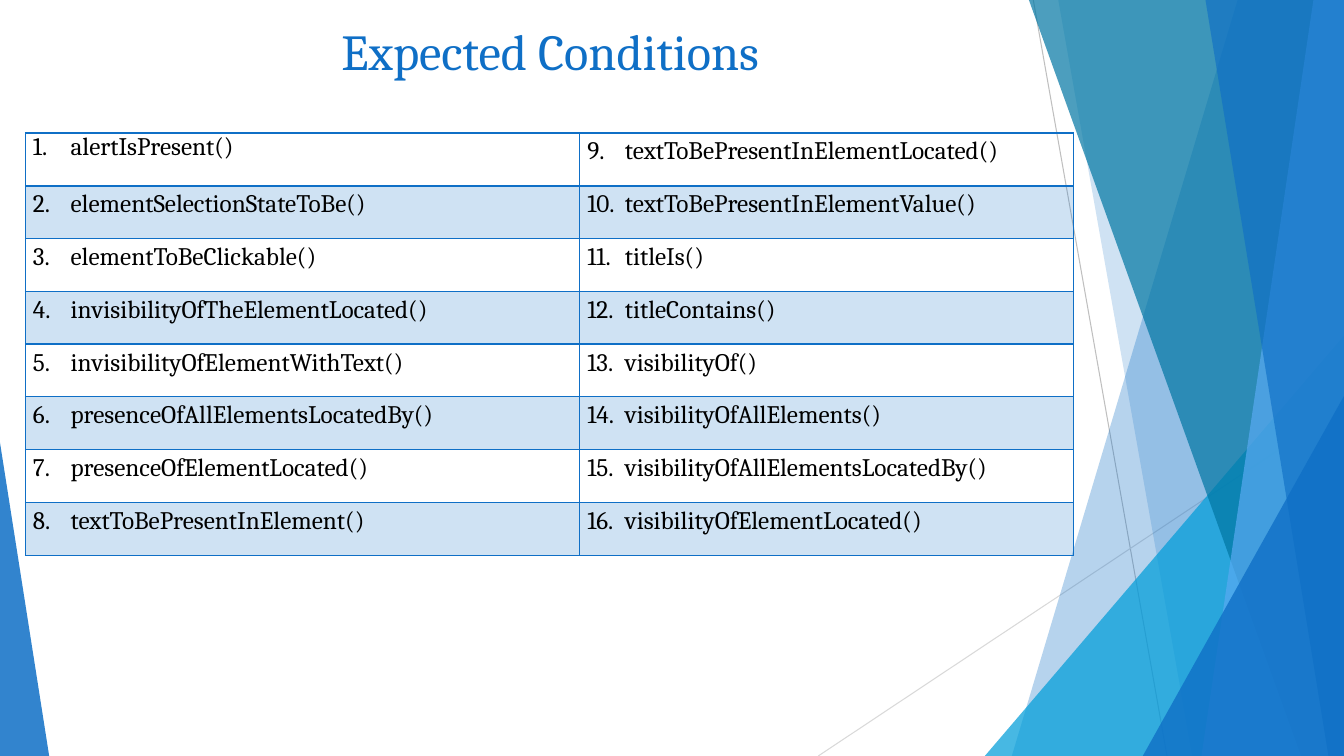
from lxml.etree import SubElement
from pptx import Presentation
from pptx.dml.color import RGBColor
from pptx.enum.shapes import MSO_CONNECTOR, MSO_SHAPE
from pptx.enum.text import MSO_ANCHOR, PP_ALIGN
from pptx.oxml import parse_xml
from pptx.oxml.ns import nsdecls, qn
from pptx.util import Cm, Pt

COLORS = {
    "blue": "0F6FC6", "cyan": "009DD9", "teal": "0076A3", "sky": "59AAF2",
    "ray": "BFBFBF", "pale_ray": "D9D9D9", "text": "000000",
}
FONT = "Cambria"
WIDTH, HEIGHT = 33.87, 19.05

# Top-left x and bottom-left x of each panel reaching the right edge
BACK_PANELS = [(31.19, 25.5, "blue", 30), (26.67, 30.05, "blue", 20)]
FRONT_PANELS = [(25.93, 32.79, "teal", 70), (33.1, 30.28, "sky", 70),
                (30.38, 33.48, "blue", 65)]

CONDITIONS = [
    "alertIsPresent()", "elementSelectionStateToBe()",
    "elementToBeClickable()", "invisibilityOfTheElementLocated()",
    "invisibilityOfElementWithText()", "presenceOfAllElementsLocatedBy()",
    "presenceOfElementLocated()", "textToBePresentInElement()",
    "textToBePresentInElementLocated()", "textToBePresentInElementValue()",
    "titleIs()", "titleContains()", "visibilityOf()",
    "visibilityOfAllElements()", "visibilityOfAllElementsLocatedBy()",
    "visibilityOfElementLocated()",
]
ROWS = 8


def rgb(color):
    return RGBColor.from_string(COLORS[color])


def fill_translucent(fill, color, opacity):
    fill.solid()
    fill.fore_color.rgb = rgb(color)
    # The colour element is reached through the fill's own XML
    srgb = fill._xPr.find(qn("a:solidFill")).find(qn("a:srgbClr"))
    SubElement(srgb, qn("a:alpha"), val=str(opacity * 1000))


def finish(shape, color, opacity):
    shape.shadow.inherit = False
    shape.line.fill.background()
    fill_translucent(shape.fill, color, opacity)


def add_ray(slide, x1, y1, x2, y2, color):
    ray = slide.shapes.add_connector(
        MSO_CONNECTOR.STRAIGHT, Cm(x1), Cm(y1), Cm(x2), Cm(y2))
    ray.line.color.rgb = rgb(color)
    ray.line.width = Pt(0.75)
    SubElement(ray._element.spPr, qn("a:effectLst"))


def add_panel(slide, top_x, bottom_x, color, opacity):
    outline = slide.shapes.build_freeform(Cm(top_x), Cm(0))
    outline.add_line_segments([
        (Cm(WIDTH), Cm(0)), (Cm(WIDTH), Cm(HEIGHT)), (Cm(bottom_x), Cm(HEIGHT))])
    finish(outline.convert_to_shape(), color, opacity)


def add_corner(slide, left, top, width, apex, color, opacity):
    corner = slide.shapes.add_shape(
        MSO_SHAPE.ISOSCELES_TRIANGLE,
        Cm(left), Cm(top), Cm(width), Cm(HEIGHT - top))
    corner.adjustments[0] = apex
    finish(corner, color, opacity)


def style_run(paragraph, size, color):
    font = paragraph.runs[0].font
    font.name, font.size, font.color.rgb = FONT, Pt(size), rgb(color)


def add_title(slide, text):
    title = slide.shapes.add_textbox(Cm(2.72), Cm(0.38), Cm(22.3), Cm(2.97))
    frame = title.text_frame
    frame.word_wrap = True
    frame.vertical_anchor = MSO_ANCHOR.TOP
    frame.text = text
    frame.paragraphs[0].alignment = PP_ALIGN.CENTER
    style_run(frame.paragraphs[0], 36, "blue")


def set_borders(cell, top, bottom):
    widths = {"lnL": 1, "lnR": 1, "lnT": top, "lnB": bottom}
    for position, (side, width) in enumerate(widths.items()):
        cell._tc.get_or_add_tcPr().insert(position, parse_xml(
            f'<a:{side} {nsdecls("a")} w="{Pt(width)}"><a:solidFill>'
            f'<a:srgbClr val="{COLORS["blue"]}"/></a:solidFill></a:{side}>'))


def number_paragraph(paragraph, number):
    properties = paragraph._p.get_or_add_pPr()
    properties.set("marL", str(Cm(0.95)))
    properties.set("indent", str(-Cm(0.95)))
    SubElement(properties, qn("a:buFont"), typeface="+mj-lt")
    SubElement(properties, qn("a:buAutoNum"),
               type="arabicPeriod", startAt=str(number))


def fill_cell(cell, row, number, condition):
    cell.margin_left = cell.margin_right = Cm(0.19)
    cell.margin_top = cell.margin_bottom = 0
    if row % 2:
        fill_translucent(cell.fill, "blue", 20)
    else:
        cell.fill.background()
    # A heavier rule sits below the first row
    set_borders(cell, top=2 if row == 1 else 1, bottom=2 if row == 0 else 1)
    cell.text_frame.text = condition
    paragraph = cell.text_frame.paragraphs[0]
    number_paragraph(paragraph, number)
    if number > 1:
        paragraph.line_spacing = 1.15
        paragraph.space_after = Pt(10)
    style_run(paragraph, 18, "text")


def add_conditions(slide):
    columns = [13.97, 12.45]
    row_height = 1.33
    table = slide.shapes.add_table(
        ROWS, len(columns), Cm(0.64), Cm(3.35),
        Cm(sum(columns)), Cm(ROWS * row_height)).table
    table.first_row = table.horz_banding = False
    for column, width in zip(table.columns, columns):
        column.width = Cm(width)
    for table_row in table.rows:
        table_row.height = Cm(row_height)
    for index, condition in enumerate(CONDITIONS):
        column, row = divmod(index, ROWS)
        fill_cell(table.cell(row, column), row, index + 1, condition)


def main():
    presentation = Presentation()
    presentation.slide_width, presentation.slide_height = Cm(WIDTH), Cm(HEIGHT)
    slide = presentation.slides.add_slide(presentation.slide_layouts[6])

    # Decorative rays and translucent facets, back to front
    add_ray(slide, 26.04, 0, 29.41, HEIGHT, "ray")
    add_ray(slide, WIDTH, 10.24, 20.62, HEIGHT, "pale_ray")
    for panel in BACK_PANELS:
        add_panel(slide, *panel)
    add_corner(slide, 24.82, 8.46, 9.05, 1, "cyan", 72)
    for panel in FRONT_PANELS:
        add_panel(slide, *panel)
    add_corner(slide, 28.8, 9.98, 5.07, 1, "blue", 80)
    add_corner(slide, 0, 11.15, 1.24, 0, "blue", 85)

    # Content
    add_title(slide, "Expected Conditions")
    add_conditions(slide)

    presentation.save("out.pptx")


if __name__ == "__main__":
    main()
